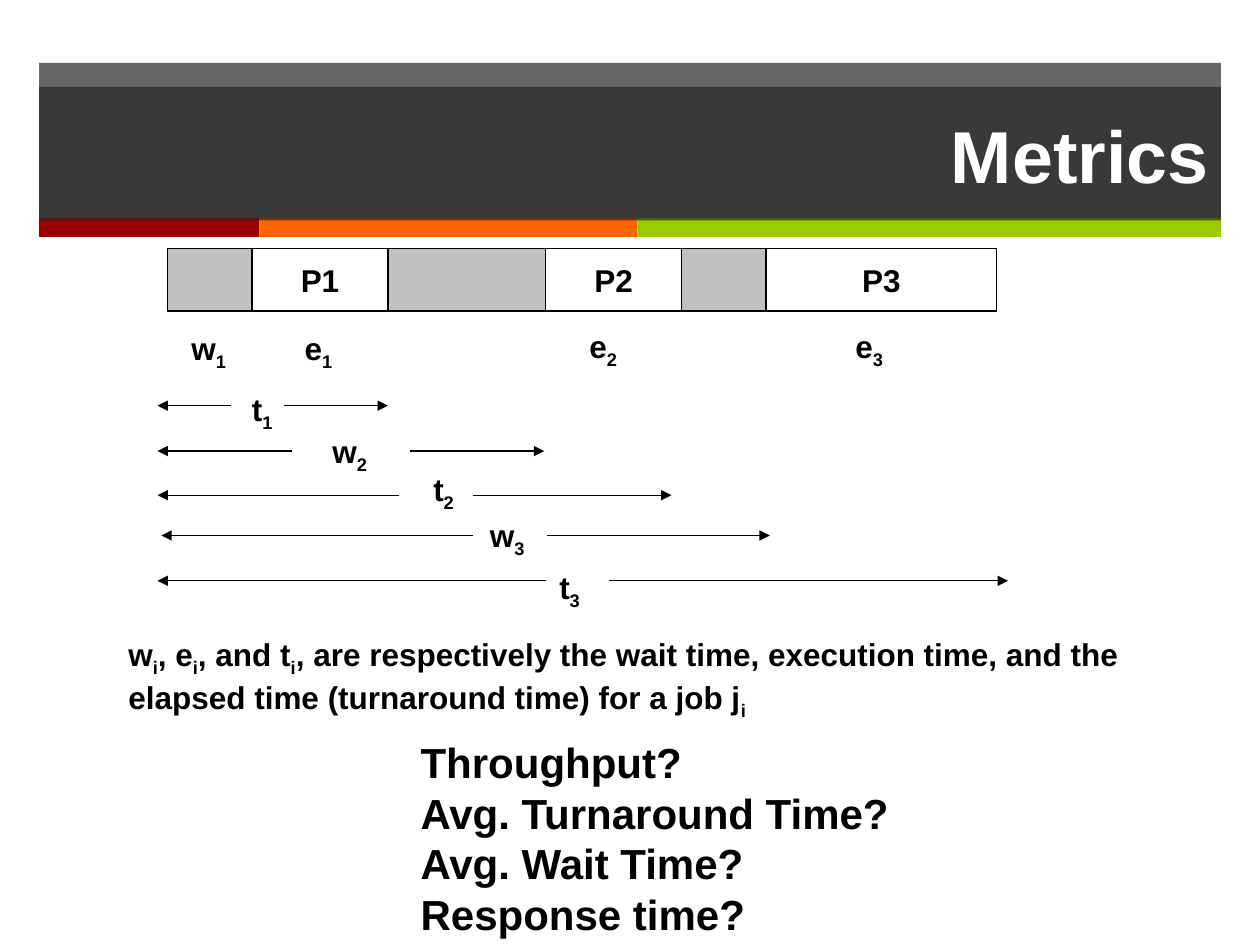
from lxml import etree
from pptx import Presentation
from pptx import util as u
from pptx.dml import color
from pptx.enum import shapes, text
from pptx.oxml import ns

HUES = {"dark": "262626", "red": "990000", "orange": "FF6600",
        "green": "99CC00", "gray": "C0C0C0", "ink": "000000", "paper": "FFFFFF"}
LABEL = {"name": "Arial", "size": u.Pt(18), "bold": True}
HEAD = {**LABEL, "size": u.Pt(42)}
ASK = {**LABEL, "size": u.Pt(24)}
FRAME = {"word_wrap": False, "vertical_anchor": text.MSO_ANCHOR.MIDDLE}
GROW = {"word_wrap": False, "auto_size": text.MSO_AUTO_SIZE.SHAPE_TO_FIT_TEXT}

STRIPES = [("red", 1.75), ("orange", 3), ("green", 4.63)]
JOBS = [("", 0.67), ("P1", 1.08), ("", 1.25), ("P2", 1.08), ("", 0.67), ("P3", 1.83)]
MARKS = [("w_1", 1.42, 2.56), ("e_1", 2.32, 2.56), ("e_2", 4.58, 2.55),
         ("e_3", 6.69, 2.55), ("t_1", 1.9, 3.05), ("w_2", 2.54, 3.38),
         ("t_2", 3.34, 3.68), ("w_3", 3.79, 4.05), ("t_3", 4.34, 4.46)]
WIDTHS = {"w": 0.49, "e": 0.44, "t": 0.38}
SPANS = [(3.22, 1.25, 1.83, 2.25, 3.08), (3.58, 1.25, 2.32, 3.25, 4.32),
         (3.93, 1.25, 3.17, 3.75, 5.33), (4.25, 1.28, 3.75, 4.34, 6.11),
         (4.61, 1.25, 4.33, 4.83, 8)]
NOTE = ["w_i, e_i, and t_i, are respectively the wait time, execution time, and the",
        "elapsed time (turnaround time) for a job j_i"]
ASKS = ["Throughput?", "Avg. Turnaround Time?", "Avg. Wait Time?", "Response time?"]


def rgb(hue):
    return color.RGBColor.from_string(HUES[hue])


def apply(item, style):
    for key, val in style.items():
        setattr(item, key, val)


def paint(shape, hue, alpha=None):
    shape.fill.solid()
    shape.fill.fore_color.rgb = rgb(hue)
    if alpha:
        tint = shape.fill._xPr.find(".//" + ns.qn("a:srgbClr"))
        etree.SubElement(tint, ns.qn("a:alpha"), val=str(alpha * 1000))


def add_run(para, words, style, hue, sub=False):
    run = para.add_run()
    run.text = words
    apply(run.font, style)
    run.font.color.rgb = rgb(hue)
    if sub:
        run._r.get_or_add_rPr().set("baseline", "-25000")


def fill_text(frame, lines, style, hue="ink", align=text.PP_ALIGN.LEFT):
    for num, line in enumerate(lines):
        para = frame.add_paragraph() if num else frame.paragraphs[0]
        para.alignment = align
        first, *rest = line.split("_")
        add_run(para, first, style, hue)
        for part in rest:
            add_run(para, part[0], style, hue, sub=True)
            if part[1:]:
                add_run(para, part[1:], style, hue)


def add_rect(slide, *box):
    rect = slide.shapes.add_shape(shapes.MSO_SHAPE.RECTANGLE, *map(u.Inches, box))
    rect.shadow.inherit = False
    rect.line.fill.background()
    return rect


def add_label(slide, lines, style, *box):
    frame = slide.shapes.add_textbox(*map(u.Inches, box)).text_frame
    apply(frame, GROW)
    fill_text(frame, lines, style)


def add_arrow(slide, start, tip, top):
    ends = map(u.Inches, (start, top, tip, top))
    arrow = slide.shapes.add_connector(shapes.MSO_CONNECTOR.STRAIGHT, *ends)
    arrow.line.color.rgb = rgb("ink")
    arrow.line.width = u.Pt(0.75)
    etree.SubElement(arrow.line._get_or_add_ln(), ns.qn("a:tailEnd"), type="triangle")
    etree.SubElement(arrow._element.spPr, ns.qn("a:effectLst"))


def add_banner(slide):
    paint(add_rect(slide, 0.31, 0.5, 9.38, 1.24), "dark", 70)
    left = 0.31
    for hue, width in STRIPES:
        paint(add_rect(slide, left, 1.73, width, 0.15), hue)
        left += width
    title = slide.shapes.title
    slide.shapes._spTree.append(title._element)
    apply(title, {"left": u.Inches(0.31), "top": u.Inches(0.69),
                  "width": u.Inches(9.38), "height": u.Inches(1.06)})
    paint(title, "dark", 70)
    title.text_frame.vertical_anchor = text.MSO_ANCHOR.MIDDLE
    fill_text(title.text_frame, ["Metrics"], HEAD, "paper", text.PP_ALIGN.RIGHT)


def add_jobs(slide):
    left = 1.33
    for name, width in JOBS:
        rect = add_rect(slide, left, 1.97, width, 0.5)
        rect.line.color.rgb = rgb("ink")
        rect.line.width = u.Pt(0.75)
        if name:
            rect.fill.background()
            apply(rect.text_frame, FRAME)
            fill_text(rect.text_frame, [name], LABEL, align=text.PP_ALIGN.CENTER)
        else:
            paint(rect, "gray")
        left += width


def main():
    deck = Presentation()
    deck.slide_width, deck.slide_height = u.Inches(10), u.Inches(7.5)
    slide = deck.slides.add_slide(deck.slide_layouts[5])
    add_banner(slide)
    add_label(slide, ASKS, ASK, 3.24, 5.8, 3.96, 1.7)
    add_jobs(slide)
    for mark, left, top in MARKS:
        add_label(slide, [mark], LABEL, left, top, WIDTHS[mark[0]], 0.4)
    for top, left, stop, start, right in SPANS:
        add_arrow(slide, stop, left, top)
        add_arrow(slide, start, right, top)
    add_label(slide, NOTE, LABEL, 0.92, 4.99, 8.08, 0.7)
    deck.save("out.pptx")


if __name__ == "__main__":
    main()
